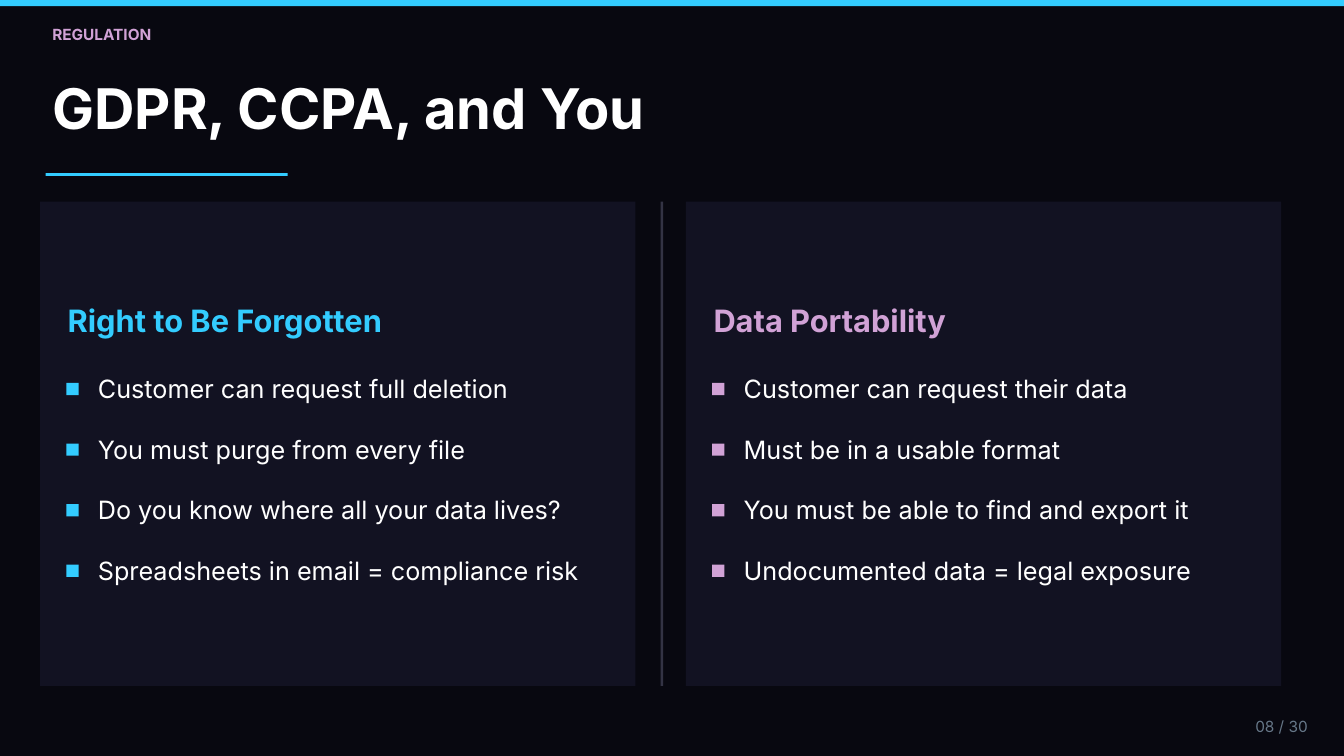
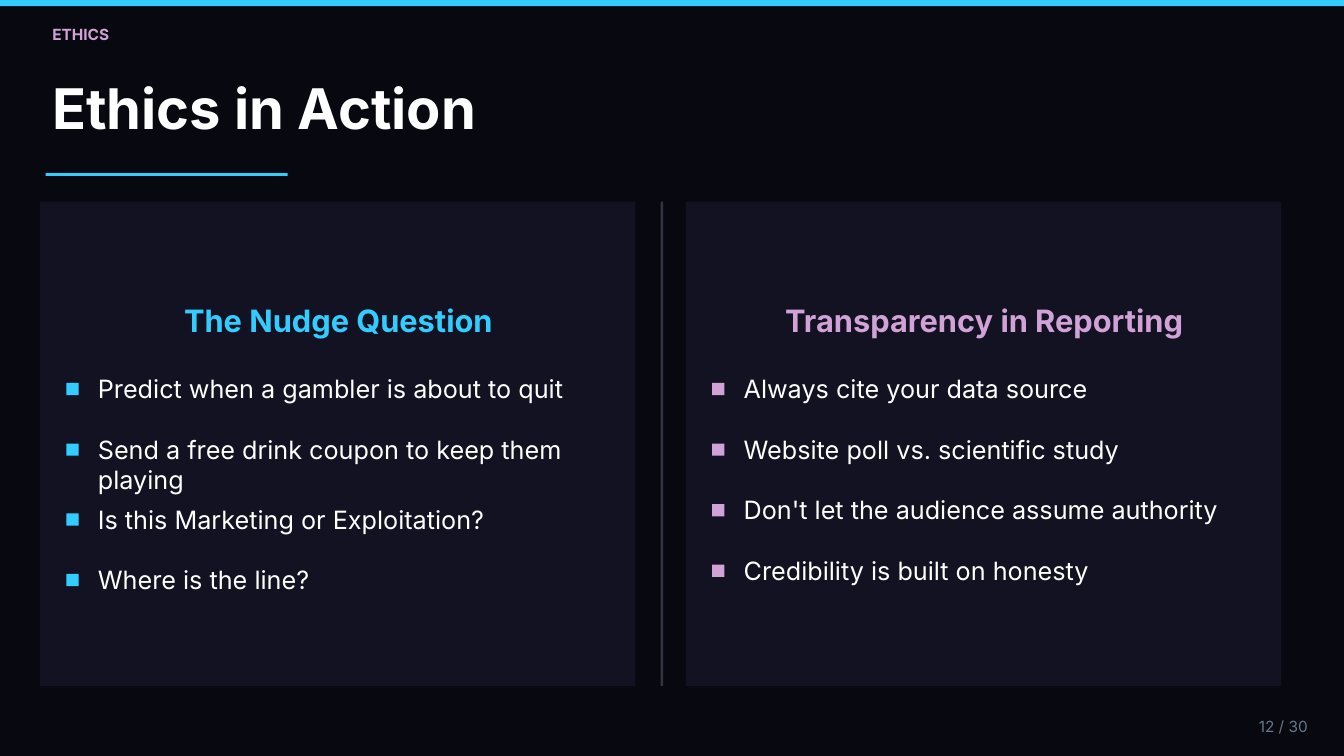
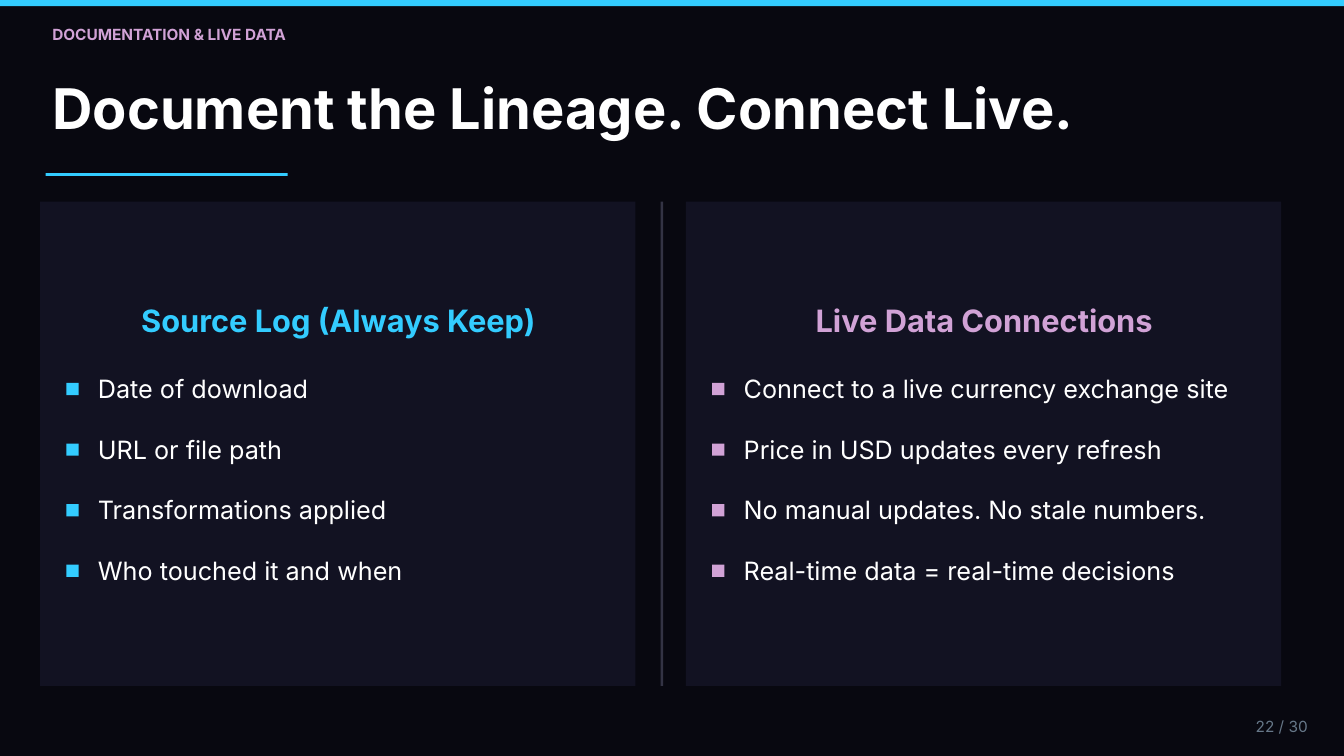
from math import ceil

from pptx import Presentation
from pptx.dml.color import RGBColor
from pptx.enum.shapes import MSO_SHAPE
from pptx.enum.text import MSO_ANCHOR, MSO_AUTO_SIZE, PP_ALIGN
from pptx.util import Cm, Pt

RECT = MSO_SHAPE.RECTANGLE
TOP = MSO_ANCHOR.TOP
GROW = MSO_AUTO_SIZE.SHAPE_TO_FIT_TEXT
LEFT, CENTER, RIGHT = PP_ALIGN.LEFT, PP_ALIGN.CENTER, PP_ALIGN.RIGHT

FONT = "Inter"
COLORS = {
    "back": "080810",
    "panel": "121222",
    "split": "333344",
    "cyan": "33CCFF",
    "pink": "D1A2D6",
    "white": "FFFFFF",
    "grey": "667788",
}

# Lengths in centimetres
WIDE, HIGH = 50.8, 28.58
PANEL_TOP, PANEL_W, PANEL_H = 7.62, 22.5, 18.31
PANELS = ((1.52, "cyan"), (25.93, "pink"))
LINE_H = 1.14    # one line of a point
ROW_H = 2.29     # least step between points
ROW_PAD = 0.36   # least space after a wrapped point
WRAP = 42        # characters that fit on one line
TOTAL = 30

SLIDES = [
    {
        "tag": "REGULATION", "title": "GDPR, CCPA, and You",
        "page": 8, "align": LEFT,
        "lists": [
            ("Right to Be Forgotten", [
                "Customer can request full deletion",
                "You must purge from every file",
                "Do you know where all your data lives?",
                "Spreadsheets in email = compliance risk"]),
            ("Data Portability", [
                "Customer can request their data",
                "Must be in a usable format",
                "You must be able to find and export it",
                "Undocumented data = legal exposure"]),
        ],
    },
    {
        "tag": "ETHICS", "title": "Ethics in Action",
        "page": 12, "align": CENTER,
        "lists": [
            ("The Nudge Question", [
                "Predict when a gambler is about to quit",
                "Send a free drink coupon to keep them playing",
                "Is this Marketing or Exploitation?",
                "Where is the line?"]),
            ("Transparency in Reporting", [
                "Always cite your data source",
                "Website poll vs. scientific study",
                "Don't let the audience assume authority",
                "Credibility is built on honesty"]),
        ],
    },
    {
        "tag": "DOCUMENTATION & LIVE DATA",
        "title": "Document the Lineage. Connect Live.",
        "page": 22, "align": CENTER,
        "lists": [
            ("Source Log (Always Keep)", [
                "Date of download",
                "URL or file path",
                "Transformations applied",
                "Who touched it and when"]),
            ("Live Data Connections", [
                "Connect to a live currency exchange site",
                "Price in USD updates every refresh",
                "No manual updates. No stale numbers.",
                "Real-time data = real-time decisions"]),
        ],
    },
]


def paint(fill, color):
    fill.solid()
    fill.fore_color.rgb = RGBColor.from_string(COLORS[color])


def add_rect(slide, x, y, w, h, color):
    shape = slide.shapes.add_shape(RECT, Cm(x), Cm(y), Cm(w), Cm(h))
    shape.shadow.inherit = False
    paint(shape.fill, color)
    shape.line.fill.background()


def set_text(shape, text, size, color, bold=False, align=LEFT):
    frame = shape.text_frame
    frame.margin_left = frame.margin_right = 0
    frame.margin_top = frame.margin_bottom = 0
    frame.word_wrap = True
    frame.auto_size = GROW
    frame.vertical_anchor = TOP
    para = frame.paragraphs[0]
    para.text = text
    para.alignment = align
    para.line_spacing = Pt(size * 1.2)
    para.font.name = FONT
    para.font.size = Pt(size)
    para.font.bold = bold
    para.font.color.rgb = RGBColor.from_string(COLORS[color])


def add_text(slide, x, y, w, h, *style, **more):
    box = slide.shapes.add_textbox(Cm(x), Cm(y), Cm(w), Cm(h))
    set_text(box, *style, **more)


def add_frame(slide, tag, title, page):
    """Top band, tag, title with its rule, and page number."""
    add_rect(slide, 0, 0, WIDE, 0.23, "cyan")
    add_text(slide, 1.98, 0.94, 30, 0.7, tag, 16.5, "pink", bold=True)
    head = slide.shapes.title
    head.left, head.top = Cm(1.98), Cm(2.79)
    head.width, head.height = Cm(45.24), Cm(2.54)
    set_text(head, title, 60, "white", bold=True)
    add_rect(slide, 1.73, 6.55, 9.14, 0.1, "cyan")
    add_text(slide, 45.75, 27.1, 3.68, 0.7, f"{page:02} / {TOTAL}",
             16.5, "grey", align=RIGHT)


def add_panel(slide, x, y, w, h, color, head, points, align):
    """Filled box with a heading and square-marked points."""
    add_rect(slide, x, y, w, h, "panel")
    add_text(slide, x + 1.04, y + 3.78, w - 2.03, 1.4, head, 33, color,
             bold=True, align=align)
    row = y + 6.5
    for point in points:
        tall = LINE_H * ceil(len(point) / WRAP)
        add_rect(slide, x + 0.99, row + 0.36, 0.46, 0.46, color)
        add_text(slide, x + 2.18, row, w - 3.17, tall, point, 27, "white")
        row += max(ROW_H, tall + ROW_PAD)


def add_pair(deck, tag, title, page, align, lists):
    """Slide with two panels and a divider between them."""
    slide = deck.slides.add_slide(deck.slide_layouts[5])
    add_frame(slide, tag, title, page)
    for (x, color), (head, points) in zip(PANELS, lists):
        add_panel(slide, x, PANEL_TOP, PANEL_W, PANEL_H, color, head,
                  points, align)
    add_rect(slide, 24.97, PANEL_TOP, 0.1, PANEL_H, "split")


def main():
    deck = Presentation()
    deck.slide_width, deck.slide_height = Cm(WIDE), Cm(HIGH)
    paint(deck.slide_master.background.fill, "back")
    for data in SLIDES:
        add_pair(deck, **data)
    deck.save("out.pptx")


if __name__ == "__main__":
    main()
